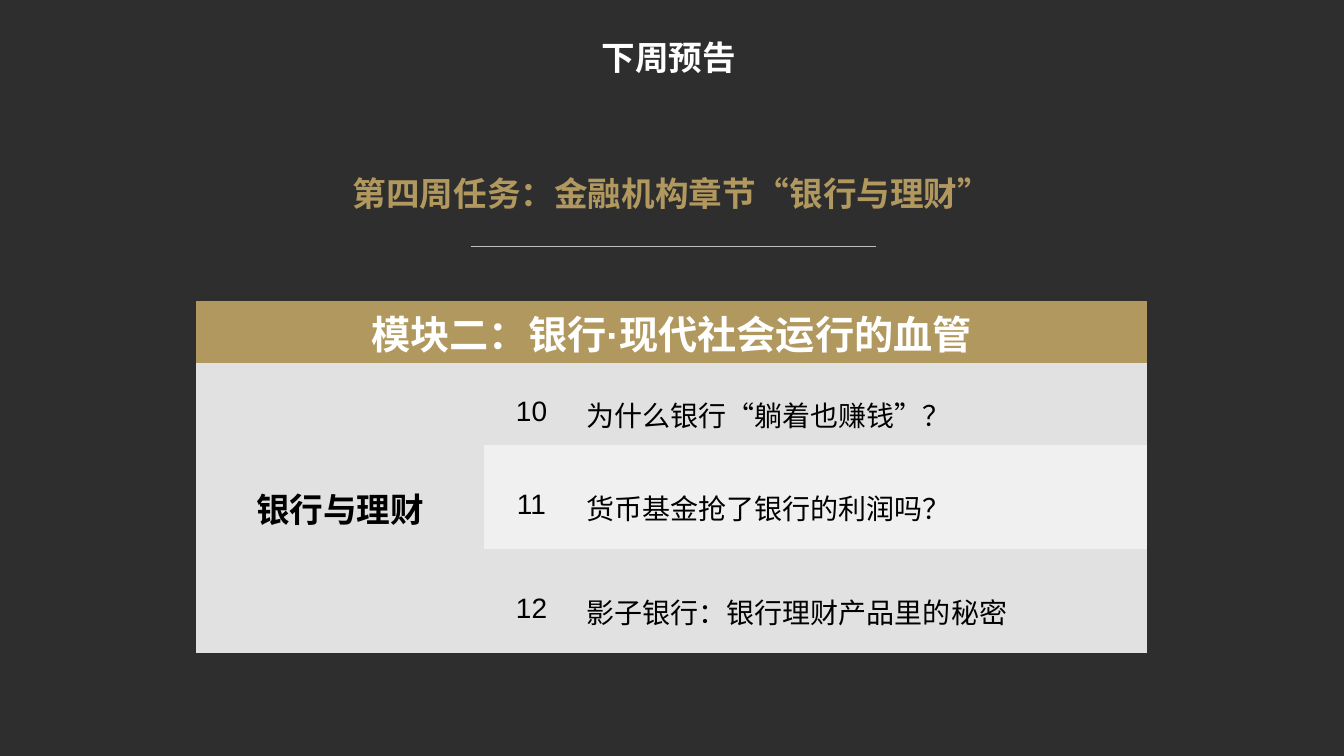
from lxml import etree
from pptx import Presentation
from pptx import util as u
from pptx.dml.color import RGBColor
from pptx.enum import shapes, text
from pptx.oxml.ns import qn

# Content
TITLE = "下周预告"
TASK = "第四周任务：金融机构章节“银行与理财”"
MODULE = "模块二：银行·现代社会运行的血管"
CHAPTER = "银行与理财"
LESSONS = [
    ("10", "为什么银行“躺着也赚钱”？"),
    ("11", "货币基金抢了银行的利润吗？"),
    ("12", "影子银行：银行理财产品里的秘密"),
]

COLORS = {"back": "2E2E2E", "gold": "B1985F", "white": "FFFFFF", "black": "000000",
          "line": "BFBFBF", "dark_band": "E1E1E1", "light_band": "F0F0F0"}
LATIN, CJK = "Arial", "Noto Sans CJK SC"
NO_GRID = "{2D5ABB26-0587-4C30-8999-92F81FD0307C}"

# Layout in centimetres
WIDTH, HEIGHT = 33.87, 19.05
COLS = [7.24, 2.41, 14.3]
ROWS = [1.55, 2.08, 2.62, 2.62]
TABLE_LEFT, TABLE_TOP = 4.95, 7.59
RULE_LEFT, RULE_RIGHT, RULE_Y = 11.86, 22.08, 6.2


def rgb(name):
    return RGBColor.from_string(COLORS[name])


def write(tf, words, size, color="black", font=CJK, bold=False,
          align=text.PP_ALIGN.CENTER, spacing=None):
    tf.word_wrap = True
    p = tf.paragraphs[0]
    p.alignment = align
    if spacing:
        p.line_spacing = spacing
    r = p.add_run()
    r.text = words
    r.font.size, r.font.bold, r.font.name = u.Pt(size), bold, font
    r.font.color.rgb = rgb(color)
    etree.SubElement(r.font._element, qn("a:ea"), typeface=CJK)


def fill_cell(cell, words, fill, size, **fmt):
    cell.fill.solid()
    cell.fill.fore_color.rgb = rgb(fill)
    cell.margin_left = cell.margin_right = u.Cm(0.18)
    cell.margin_top = cell.margin_bottom = 0
    cell.vertical_anchor = text.MSO_ANCHOR.MIDDLE
    write(cell.text_frame, words, size, **fmt)


prs = Presentation()
prs.slide_width, prs.slide_height = u.Cm(WIDTH), u.Cm(HEIGHT)
s = prs.slides.add_slide(prs.slide_layouts[6])
s.background.fill.solid()
s.background.fill.fore_color.rgb = rgb("back")

# Headings
for words, box, color, font in [
    (TITLE, (4.75, 0.81, 24.21, 1.27), "white", CJK),
    (TASK, (0, 4.24, WIDTH, 2.31), "gold", LATIN),
]:
    sp = s.shapes.add_textbox(*map(u.Cm, box))
    write(sp.text_frame, words, 24, color=color, font=font, bold=True)

# Module table
frame = s.shapes.add_table(len(ROWS), len(COLS), u.Cm(TABLE_LEFT), u.Cm(TABLE_TOP),
                           u.Cm(sum(COLS)), u.Cm(sum(ROWS)))
tbl = frame.table
tbl.first_row = tbl.horz_banding = False
tbl._tbl.tblPr.find(qn("a:tableStyleId")).text = NO_GRID
for col, width in zip(tbl.columns, COLS):
    col.width = u.Cm(width)
for row, height in zip(tbl.rows, ROWS):
    row.height = u.Cm(height)

tbl.cell(0, 0).merge(tbl.cell(0, 2))
tbl.cell(1, 0).merge(tbl.cell(3, 0))
fill_cell(tbl.cell(0, 0), MODULE, "gold", 28, color="white", font=LATIN, bold=True)
fill_cell(tbl.cell(1, 0), CHAPTER, "dark_band", 24, bold=True)
for i, (number, lesson) in enumerate(LESSONS, 1):
    band = "dark_band" if i % 2 else "light_band"
    fill_cell(tbl.cell(i, 1), number, band, 20, font=LATIN, spacing=1.5)
    fill_cell(tbl.cell(i, 2), lesson, band, 20, spacing=1.5,
              align=text.PP_ALIGN.JUSTIFY)

# Rule under the task
rule = s.shapes.add_connector(shapes.MSO_CONNECTOR.STRAIGHT, u.Cm(RULE_LEFT), u.Cm(RULE_Y),
                              u.Cm(RULE_RIGHT), u.Cm(RULE_Y))
rule.line.color.rgb = rgb("line")
rule.line.width = u.Pt(0.5)
etree.SubElement(rule._element.spPr, qn("a:effectLst"))

prs.save("out.pptx")
